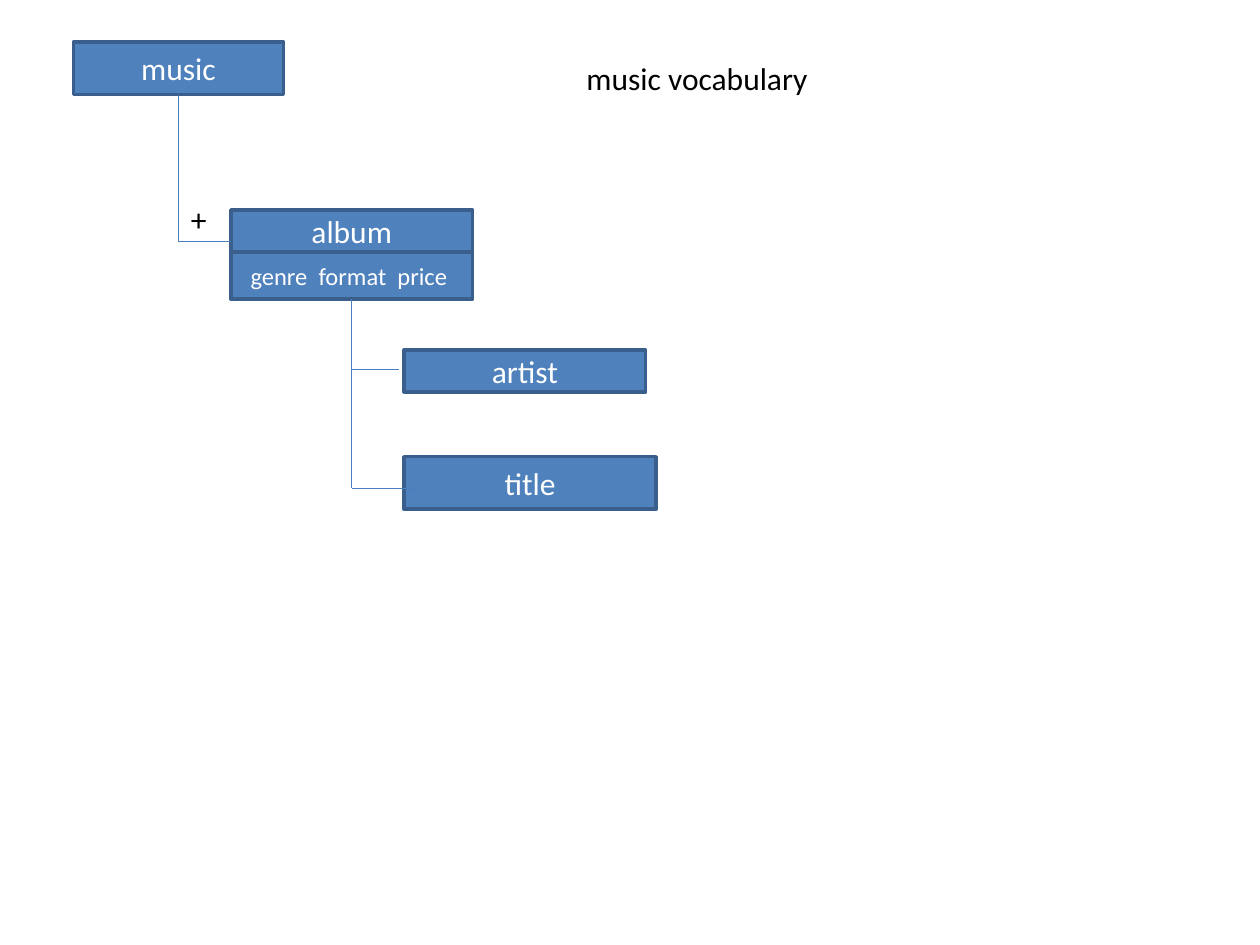
from lxml.etree import SubElement
from pptx import Presentation
from pptx.dml.color import RGBColor
from pptx.enum.shapes import MSO_CONNECTOR as Connector, MSO_SHAPE as Shape
from pptx.enum.text import MSO_ANCHOR as Anchor, MSO_AUTO_SIZE as AutoSize, PP_ALIGN as Align
from pptx.oxml.ns import qn
from pptx.util import Pt

FONT = "Calibri"
COLORS = {"box": "4F81BD", "border": "3A5F8C", "branch": "4B7EBC",
          "box text": "FFFFFF", "label": "000000"}

# name: (text, size, left, top, width, height)
BOXES = {
    "music": ("music", 18, 42, 24, 120, 30),
    "album": ("album", 18, 132, 120, 138, 24),
    "attributes": ("genre  format  price ", 14, 132, 144, 138, 27),
    "artist": ("artist", 18, 231, 200, 138, 24),
    "title": ("title", 18, 231, 261, 144, 30),
}
# parent box: (trunk end y, [(branch y, branch end x), ...])
TREE = {
    "music": (138, [(138, 132)]),
    "attributes": (279, [(211, 228), (279, 237)]),
}
LABELS = [
    (" music vocabulary", 18, 324, 30, 180, 29),
    ("+", 18, 102, 111, 18, 29),
]


def color(name):
    return RGBColor.from_string(COLORS[name])


def write(frame, text, size, color_name, alignment):
    frame.word_wrap = True
    paragraph = frame.paragraphs[0]
    paragraph.alignment = alignment
    run = paragraph.add_run()
    run.text = text
    run.font.name = FONT
    run.font.size = Pt(size)
    run.font.color.rgb = color(color_name)


def add_box(slide, text, size, *place):
    box = slide.shapes.add_shape(Shape.RECTANGLE, *map(Pt, place))
    box.shadow.inherit = False
    box.fill.solid()
    box.fill.fore_color.rgb = color("box")
    box.line.color.rgb = color("border")
    box.line.width = Pt(2)
    box.text_frame.vertical_anchor = Anchor.MIDDLE
    write(box.text_frame, text, size, "box text", Align.CENTER)
    return box


def add_line(slide, *ends):
    line = slide.shapes.add_connector(Connector.STRAIGHT, *map(Pt, ends))
    line.line.color.rgb = color("branch")
    line.line.width = Pt(0.75)
    SubElement(line._element.spPr, qn("a:effectLst"))
    return line


def add_label(slide, text, size, *place):
    label = slide.shapes.add_textbox(*map(Pt, place))
    label.text_frame.auto_size = AutoSize.SHAPE_TO_FIT_TEXT
    write(label.text_frame, text, size, "label", Align.LEFT)


def main():
    presentation = Presentation()
    presentation.slide_width, presentation.slide_height = Pt(720), Pt(540)
    slide = presentation.slides.add_slide(presentation.slide_layouts[6])

    boxes = {name: add_box(slide, *box) for name, box in BOXES.items()}
    for parent, (trunk_end, branches) in TREE.items():
        left, top, width, height = BOXES[parent][2:]
        center = left + width / 2
        trunk = add_line(slide, center, top + height, center, trunk_end)
        trunk.begin_connect(boxes[parent], 2)
        for y, end in branches:
            add_line(slide, center, y, end, y)
    for label in LABELS:
        add_label(slide, *label)

    presentation.save("out.pptx")


if __name__ == "__main__":
    main()
